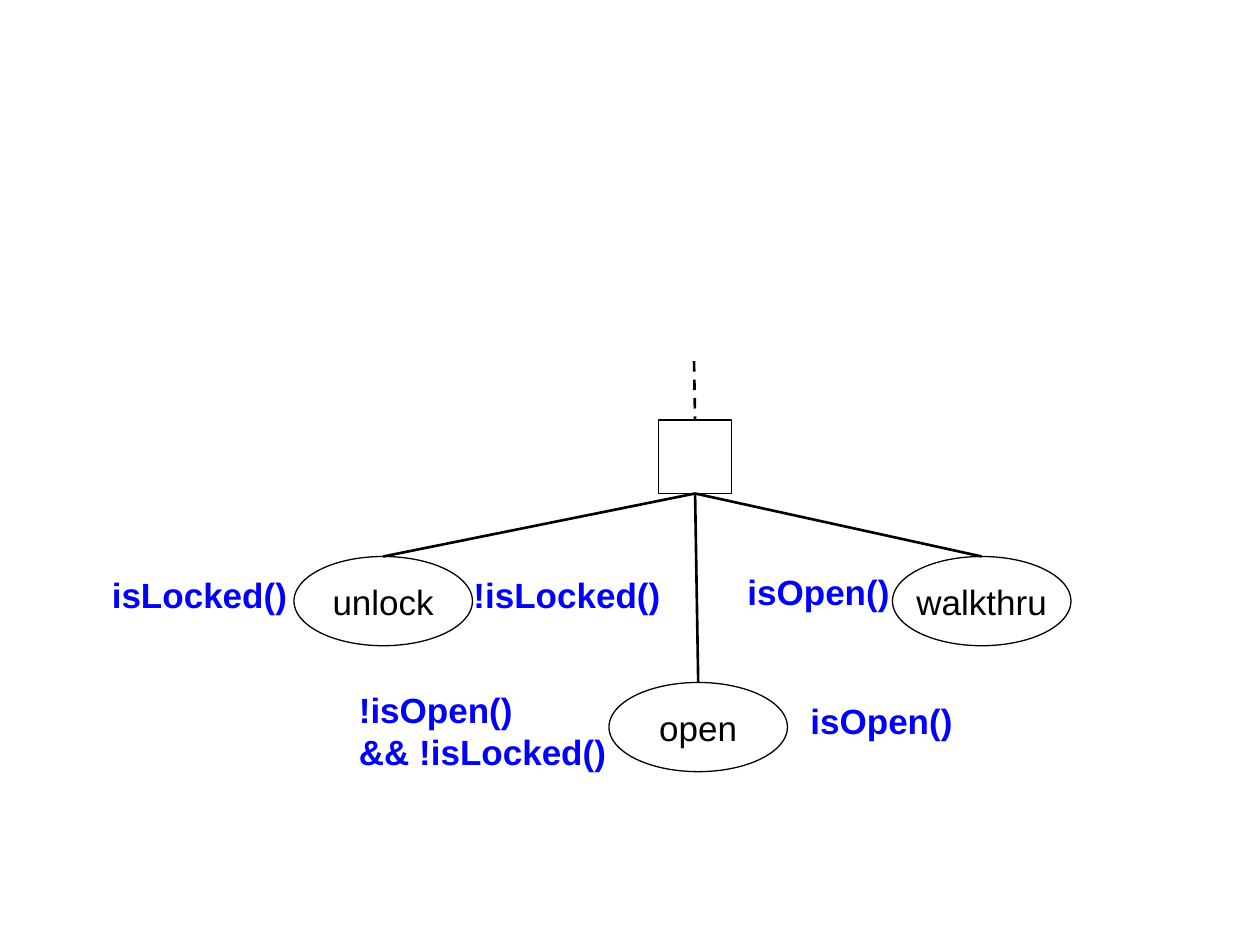
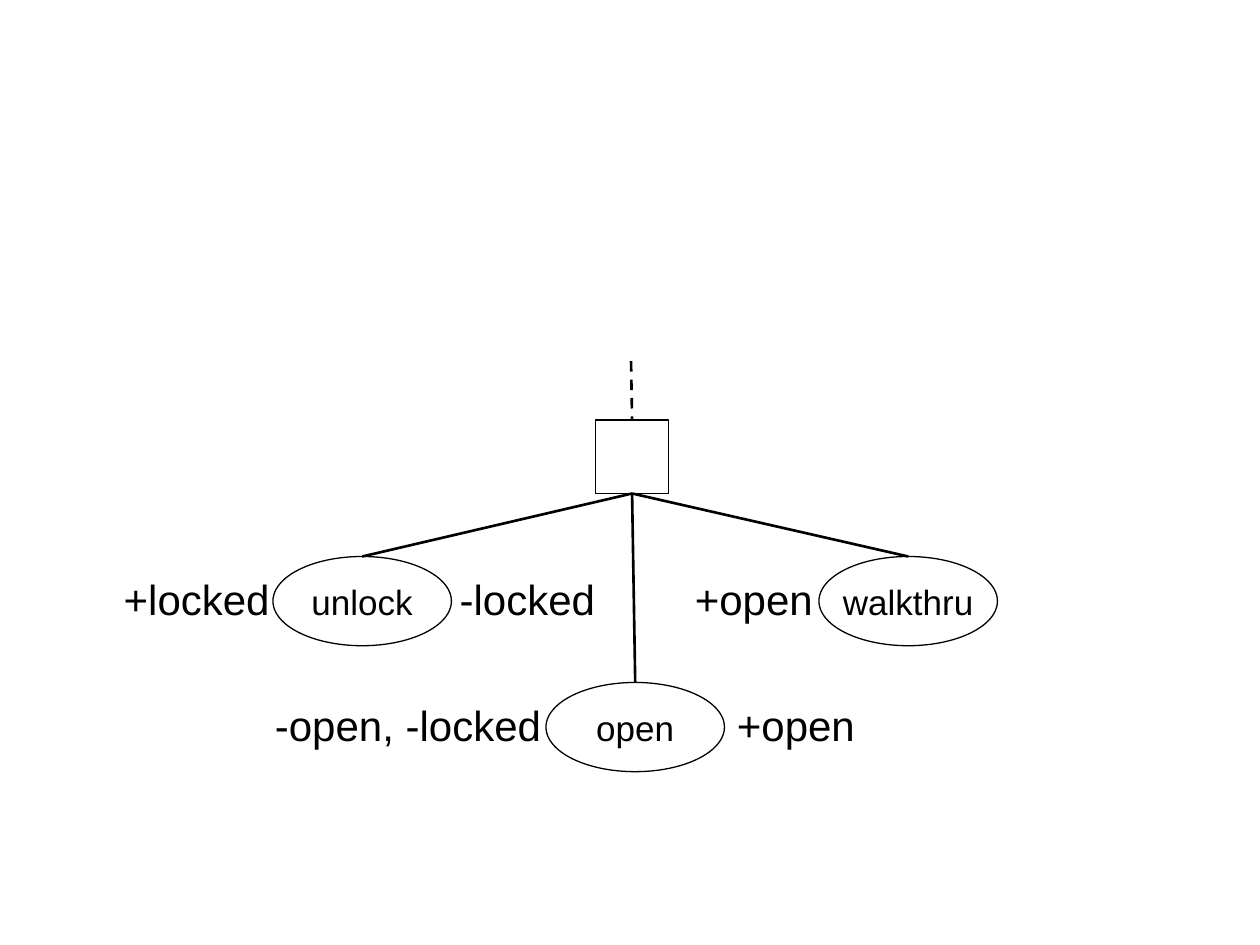
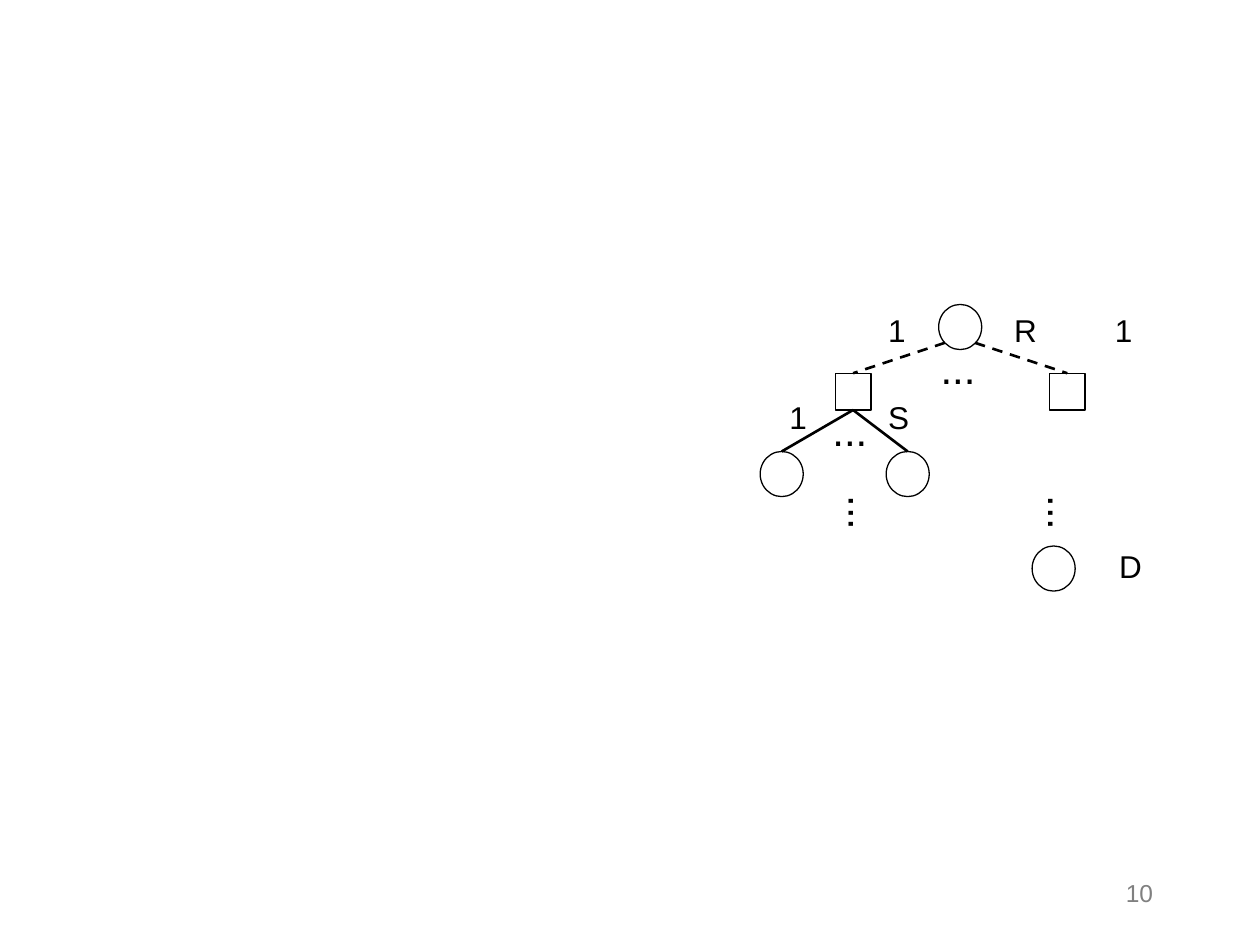
import pptx
import pptx.dml.color
import pptx.enum.dml
import pptx.enum.shapes
import pptx.enum.text
import pptx.oxml.xmlchemy
import pptx.util
import lxml.etree

BLACK, BLUE, GREY = "000000", "0000FF", "808080"
FONT = "Arial"
COLUMNS, ROWS = 120, 90
OVAL = pptx.enum.shapes.MSO_SHAPE.OVAL
SQUARE = pptx.enum.shapes.MSO_SHAPE.RECTANGLE
LEFT, CENTER, RIGHT = (pptx.enum.text.PP_ALIGN.LEFT, pptx.enum.text.PP_ALIGN.CENTER,
                       pptx.enum.text.PP_ALIGN.RIGHT)
rgb = pptx.dml.color.RGBColor.from_string

deck = pptx.Presentation()
deck.slide_width, deck.slide_height = pptx.util.Inches(10), pptx.util.Inches(7.5)
cell = deck.slide_width // COLUMNS  # the rows have the same pitch: slide height / ROWS


def add_part(shapes, box, text="", size=20, outline=None, color=BLACK, bold=False,
             align=LEFT, wrap=True):
    """Add an outlined node, or a plain label when no outline is given."""
    place = [round(length * cell) for length in box]
    if outline is None:
        part = shapes.add_textbox(*place)
    else:
        part = shapes.add_shape(outline, *place)
        part.shadow.inherit = False
        part.fill.background()
        part.line.color.rgb = rgb(BLACK)
        part.line.width = pptx.util.Pt(0.75)
    if text:
        part.text_frame.text = text
        part.text_frame.word_wrap = wrap
        for paragraph in part.text_frame.paragraphs:
            paragraph.alignment = align
            paragraph.font.name = FONT
            paragraph.font.size = pptx.util.Pt(size)
            paragraph.font.bold = bold
            paragraph.font.color.rgb = rgb(color)
    return part


def add_edge(shapes, start, end, dashed=False):
    ends = [round(length * cell) for length in (*start, *end)]
    edge = shapes.add_connector(pptx.enum.shapes.MSO_CONNECTOR.STRAIGHT, *ends)
    edge.line.color.rgb = rgb(BLACK)
    edge.line.width = pptx.util.Pt(1.5)
    if dashed:
        edge.line.dash_style = pptx.enum.dml.MSO_LINE.DASH
    properties = edge.line._get_or_add_ln().getparent()
    lxml.etree.SubElement(properties, pptx.oxml.ns.qn("a:effectLst"))


# Door plans: root centre, action columns, label style, labels as (box, text, alignment)
condition_style = dict(size=20, color=BLUE, bold=True)
effect_style = dict(size=24, wrap=False)
plans = [
    (66.2, (28, 58, 85), condition_style, [
        ((5, 54, 28, 9), "isLocked()", CENTER),
        ((40, 54, 28, 9), "!isLocked()", CENTER),
        ((33, 65, 31, 9), "!isOpen()\n&& !isLocked()", LEFT),
        ((70, 53.75, 27, 5), "isOpen()", LEFT),
        ((76, 66, 27, 5), "isOpen()", LEFT)]),
    (60.2, (26, 52, 78), effect_style, [
        ((10.6, 54, 16.4, 6), "+locked", LEFT),
        ((42.6, 54, 15.5, 6), "-locked", LEFT),
        ((25, 66, 28, 6), "-open, -locked", LEFT),
        ((65, 54, 13.8, 6), "+open", LEFT),
        ((69, 66, 13.8, 6), "+open", LEFT)]),
]
root_top, root_side = 40, 7
action_width, action_height = 17, 8.5
action_rows = {"unlock": 53, "open": 65, "walkthru": 53}

for root, action_columns, style, labels in plans:
    shapes = deck.slides.add_slide(deck.slide_layouts[6]).shapes
    for box, text, align in labels:
        add_part(shapes, box, text, align=align, **style)
    add_part(shapes, (root - root_side / 2, root_top, root_side, root_side), outline=SQUARE)
    add_edge(shapes, (root - 0.1, 34.4), (root, root_top), dashed=True)
    for column, (action, row) in zip(action_columns, action_rows.items()):
        add_part(shapes, (column, row, action_width, action_height), action,
                 outline=OVAL, align=CENTER, wrap=False)
        add_edge(shapes, (root, root_top + root_side), (column + action_width / 2, row))

# Branching tree
slide = deck.slides.add_slide(deck.slide_layouts[6])
add_part(slide.shapes, (86, 83, 25, 6), "10", size=14, color=GREY, align=RIGHT)
tree = slide.shapes.add_group_shape().shapes

for column, row in [(89.4, 29), (84.4, 43), (72.4, 43), (98.3, 52)]:
    add_part(tree, (column, row, 4.1, 4.3), outline=OVAL)
for column in (79.55, 99.95):
    add_part(tree, (column, 35.55, 3.4, 3.5), outline=SQUARE)

for start, square in [(90, 81.25), (92.85, 101.65)]:
    add_edge(tree, (start, 32.65), (square, 35.55), dashed=True)
for child in (74.45, 86.45):
    add_edge(tree, (81.25, 39.05), (child, 43))

# Branch counts and depths
for text, column, row in [("1", 83.4, 29), ("R", 95.4, 29), ("1", 74, 37.3),
                          ("S", 83.4, 37.3), ("1", 105, 29), ("D", 105.4, 51.5)]:
    add_part(tree, (column, row, 5, 4.8), text, size=18)

# Ellipses, upright ones between levels
for column, row, turn in [(88.4, 32, 0), (78.1, 37.9, 0), (98.4, 46, 90), (79.4, 46, 90)]:
    add_part(tree, (column, row, 6, 6), "...", size=24).rotation = turn

deck.save("out.pptx")
